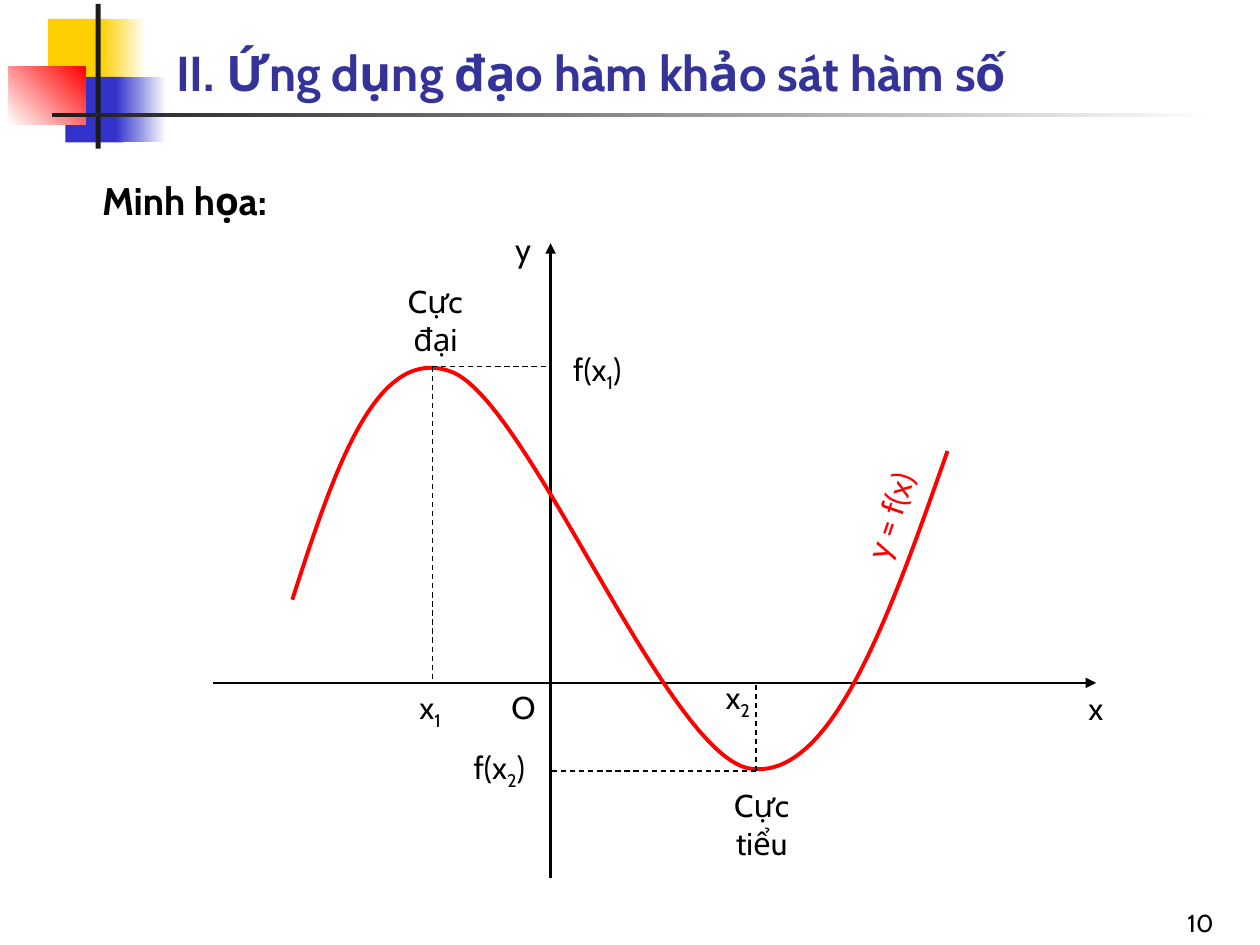
from pptx import Presentation
from pptx.dml.color import RGBColor
from pptx.enum import dml, shapes, text
from pptx.oxml.ns import qn
from pptx.util import Inches, Pt
from lxml import etree

FONT = "Cabin"
BLACK = RGBColor(0, 0, 0)
WHITE = RGBColor(255, 255, 255)
RED = RGBColor(255, 0, 0)
GOLD = RGBColor(0xFF, 0xCF, 0x01)
BLUE = RGBColor(0x33, 0x33, 0xCC)
NAVY = RGBColor(0x33, 0x33, 0x99)
DARK = RGBColor(0x1C, 0x1C, 0x1C)

ORIGIN = (4.37, 5.42)
PEAK = (3.43, 2.91)
LOW = (6, 6.12)
CURVE = [(2.32, 4.76),
         (2.65, 3.74), (2.98, 2.73), (3.58, 2.95),
         (4.19, 3.17), (5.29, 5.99), (5.95, 6.1),
         (6.6, 6.2), (7.06, 4.89), (7.52, 3.58)]

BLOCKS = [
    ((0.38, 0.15, 0.48, 0.52), GOLD, None, 0),
    ((0.8, 0.15, 0.36, 0.52), GOLD, WHITE, 0),
    ((0.52, 0.61, 0.46, 0.52), BLUE, None, 0),
    ((0.92, 0.61, 0.4, 0.52), BLUE, WHITE, 0),
    ((0.07, 0.53, 0.61, 0.46), WHITE, RED, 45),
    ((0.76, 0.03, 0.04, 1.15), DARK, None, 0),
    ((0.41, 0.9, 9.25, 0.03), DARK, WHITE, 0),
]

MID = {"alignment": text.PP_ALIGN.CENTER}
LABELS = [
    ((3.96, 5.41, 0.63, 0.4), ["O"], {}),
    ((8.54, 5.42, 0.63, 0.4), ["x"], {}),
    ((3.99, 1.78, 0.63, 0.4), ["y"], {}),
    ((3.23, 5.41, 0.63, 0.44), ["x", "1"], {}),
    ((5.66, 5.33, 0.71, 0.44), ["x", "2"], {}),
    ((5.69, 6.19, 0.71, 0.7), ["Cực tiểu"], MID),
    ((3.1, 2.19, 0.71, 0.7), ["Cực đại"], MID),
    ((4.45, 2.73, 0.95, 0.44), ["f(x", "1", ")"], {}),
    ((3.66, 5.89, 0.95, 0.44), ["f(x", "2", ")"], {}),
]


def apply(obj, vals):
    for key, val in vals.items():
        setattr(obj, key, val)


def add_block(slide, box, start, end, angle):
    block = slide.shapes.add_shape(
        shapes.MSO_SHAPE.RECTANGLE, *map(Inches, box))
    block.shadow.inherit = False
    block.line.fill.background()
    if end is None:
        block.fill.solid()
        block.fill.fore_color.rgb = start
        return
    block.fill.gradient()
    block.fill.gradient_angle = angle
    for stop, color in zip(block.fill.gradient_stops, (start, end)):
        stop.color.rgb = color


def add_text(slide, box, parts, color=BLACK, size=18, bold=False,
             para=None, frame=None):
    area = slide.shapes.add_textbox(*map(Inches, box))
    apply(area.text_frame, {"word_wrap": True, **(frame or {})})
    line = area.text_frame.paragraphs[0]
    apply(line, para or {})
    for i, part in enumerate(parts):
        run = line.add_run()
        run.text = part
        apply(run.font, {"name": FONT, "size": Pt(size), "bold": bold})
        run.font.color.rgb = color
        if i == 1:
            run.font._element.set("baseline", "-25000")
    return area


def add_line(slide, start, end, width, dash=False, arrow=False):
    line = slide.shapes.add_connector(
        shapes.MSO_CONNECTOR.STRAIGHT, *map(Inches, (*start, *end)))
    line.line.color.rgb = BLACK
    line.line.width = Pt(width)
    if dash:
        line.line.dash_style = dml.MSO_LINE.DASH
    if arrow:
        tail = etree.SubElement(line.line._get_or_add_ln(), qn("a:tailEnd"))
        tail.set("type", "triangle")
    etree.SubElement(line._element.spPr, qn("a:effectLst"))


def add_curve(slide, points):
    first, *rest = [tuple(map(Inches, point)) for point in points]
    build = slide.shapes.build_freeform(*first)
    build.add_line_segments(rest, close=False)
    curve = build.convert_to_shape()
    curve.shadow.inherit = False
    curve.fill.background()
    curve.line.color.rgb = RED
    curve.line.width = Pt(2.25)
    route = next(curve._element.iter(qn("a:path")))
    steps = route.findall(qn("a:lnTo"))
    for i in range(0, len(steps), 3):
        bend = etree.SubElement(route, qn("a:cubicBezTo"))
        for step in steps[i:i + 3]:
            bend.append(step[0])
            route.remove(step)


def add_graph(slide):
    grow = {"auto_size": text.MSO_AUTO_SIZE.SHAPE_TO_FIT_TEXT}
    add_line(slide, (1.69, ORIGIN[1]), (8.7, ORIGIN[1]), 1.5, arrow=True)
    add_line(slide, (ORIGIN[0], 6.97), (ORIGIN[0], 1.93), 1.5, arrow=True)
    add_curve(slide, CURVE)
    for point in (PEAK, LOW):
        add_line(slide, point, (point[0], ORIGIN[1]), 0.75, dash=True)
        add_line(slide, point, (ORIGIN[0], point[1]), 0.75, dash=True)
    for box, parts, para in LABELS:
        add_text(slide, box, parts, para=para, frame=grow)
    name = add_text(slide, (6.46, 3.68, 1.34, 0.4), ["y = f(x)"], RED,
                    frame=grow)
    name.rotation = 288.8


def main():
    deck = Presentation()
    apply(deck, {"slide_width": Inches(10), "slide_height": Inches(7.5)})
    slide = deck.slides.add_slide(deck.slide_layouts[6])
    low = {"vertical_anchor": text.MSO_ANCHOR.BOTTOM}
    for block in BLOCKS:
        add_block(slide, *block)
    add_text(slide, (9.25, 7.1, 0.48, 0.39), ["10"], size=14,
             para={"alignment": text.PP_ALIGN.RIGHT}, frame=low)
    add_text(slide, (1.3, 0.27, 8.52, 0.58),
             ["II. Ứng dụng đạo hàm khảo sát hàm số"], NAVY, 28, True,
             frame=low)
    add_text(slide, (0.42, 1.32, 9.07, 0.59), ["Minh họa:"], size=22,
             bold=True, para={"line_spacing": 1.1},
             frame={"margin_left": Inches(0.39)})
    add_graph(slide)
    deck.save("out.pptx")


if __name__ == "__main__":
    main()
